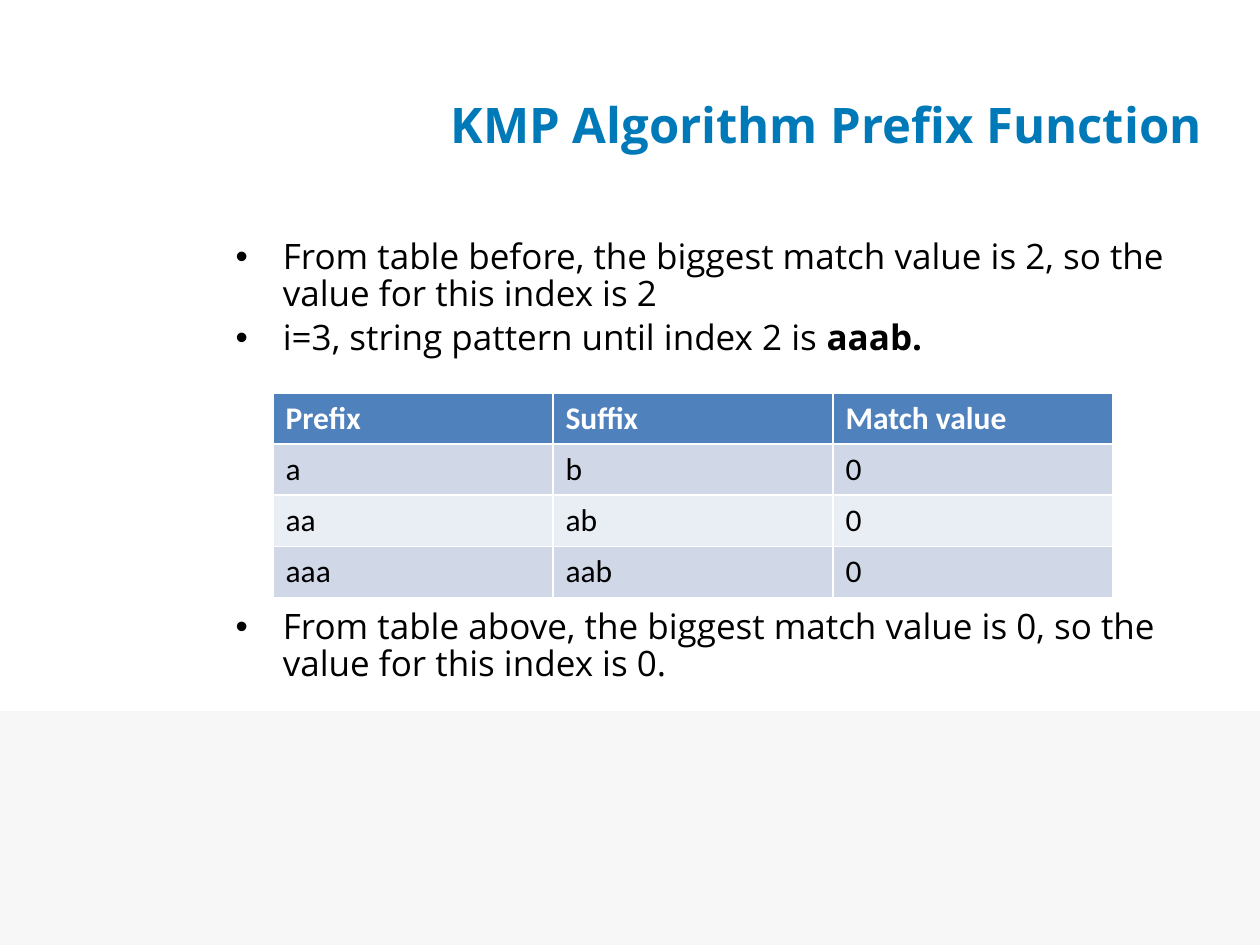
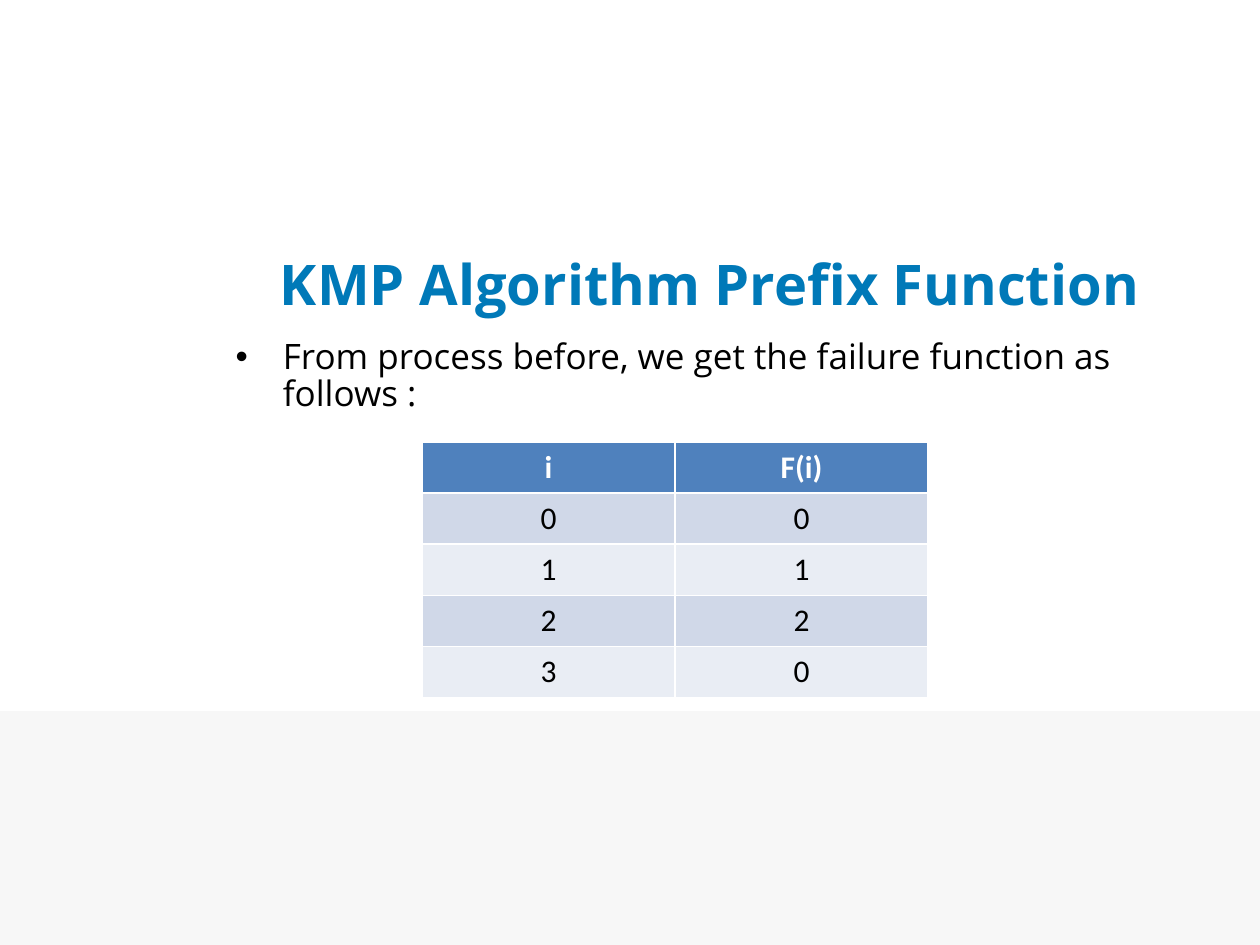
import pptx
import pptx.dml.color
import pptx.enum.shapes
import pptx.enum.text
import pptx.util

SCALE = 914400 / 126  # EMU per px
ALIGN = pptx.enum.text.PP_ALIGN
WHITE, BLACK, BLUE = "FFFFFF", "000000", "0079B8"
HEADER_FILL, BAND_FILLS = "4F81BD", ("D0D8E8", "E9EDF4")
HEADING = "KMP Algorithm Prefix Function"


def px(n):
    return pptx.util.Emu(round(n * SCALE))


def rgb(value):
    return pptx.dml.color.RGBColor.from_string(value)


def paint(fill, color):
    fill.solid()
    fill.fore_color.rgb = rgb(color)


class Deck:
    title_font = dict(name="Open Sans", bold=True)
    body_font = dict(name="Open Sans", size=pptx.util.Pt(20))
    cell_font = dict(name="Calibri", size=pptx.util.Pt(18))
    row_height = 51

    def __init__(self):
        self.prs = pptx.Presentation()
        self.prs.slide_width, self.prs.slide_height = px(1260), px(945)
        self.s = None

    def add_slide(self):
        self.s = self.prs.slides.add_slide(self.prs.slide_layouts[1])

    def add_master_band(self, x, y, w, h, color):
        """Draw a band, then move it to the back of the slide master."""
        sp = self.s.shapes.add_shape(
            pptx.enum.shapes.MSO_SHAPE.RECTANGLE, px(x), px(y), px(w), px(h))
        sp.shadow.inherit = False
        paint(sp.fill, color)
        sp.line.fill.background()
        self.prs.slide_master.shapes.element.insert(2, sp.element)

    def place(self, sp, *box):
        for side, n in zip(("left", "top", "width", "height"), box):
            setattr(sp, side, px(n))
        sp.text_frame.auto_size = pptx.enum.text.MSO_AUTO_SIZE.NONE
        return sp.text_frame

    def run(self, p, text, color, **font):
        r = p.add_run()
        r.text = text
        r.font.color.rgb = rgb(color)
        for key, value in font.items():
            setattr(r.font, key, value)

    def title(self, text, size, *box):
        p = self.place(self.s.shapes.title, *box).paragraphs[0]
        p.alignment = ALIGN.CENTER
        self.run(p, text, BLUE, size=pptx.util.Pt(size), **self.title_font)

    def bullets(self, items, *box):
        """Each item is (space before in points, text, optional bold ending)."""
        tf = self.place(self.s.placeholders[1], *box)
        for i, (space, *parts) in enumerate(items):
            p = tf.add_paragraph() if i else tf.paragraphs[0]
            p.space_before = pptx.util.Pt(space)
            p.line_spacing = 0.88
            for text, bold in zip(parts, (False, True)):
                self.run(p, text, BLACK, bold=bold, **self.body_font)

    def table(self, rows, x, y, col_width, align=ALIGN.LEFT):
        n_rows, n_cols = len(rows), len(rows[0])
        table = self.s.shapes.add_table(
            n_rows, n_cols, px(x), px(y),
            px(n_cols * col_width), px(n_rows * self.row_height)).table
        for i, row in enumerate(rows):
            header = i == 0
            fill = HEADER_FILL if header else BAND_FILLS[(i - 1) % 2]
            for j, text in enumerate(row):
                cell = table.cell(i, j)
                paint(cell.fill, fill)
                p = cell.text_frame.paragraphs[0]
                p.alignment = align
                self.run(p, text, WHITE if header else BLACK,
                         bold=header, **self.cell_font)


def main():
    deck = Deck()

    deck.add_slide()
    deck.add_master_band(0, 711, 1260, 234, "F7F7F7")
    deck.title(HEADING, 28, 392, 45, 868, 158)
    deck.bullets([
        (0, "From table before, the biggest match value is 2, "
            "so the value for this index is 2"),
        (4, "i=3, string pattern until index 2 is ", "aaab."),
        (144, "From table above, the biggest match value is 0, "
              "so the value for this index is 0."),
    ], 223, 234, 974, 610)
    deck.table([("Prefix", "Suffix", "Match value"),
                ("a", "b", "0"),
                ("aa", "ab", "0"),
                ("aaa", "aab", "0")], 273, 393, 280)

    deck.add_slide()
    deck.title(HEADING, 32, 223, 204, 974, 158)
    deck.bullets([
        (0, "From process before, we get the failure function as follows :"),
    ], 223, 334, 974, 510)
    deck.table([("i", "F(i)"), ("0", "0"), ("1", "1"), ("2", "2"), ("3", "0")],
               422, 442, 253, ALIGN.CENTER)

    deck.prs.save("out.pptx")


if __name__ == "__main__":
    main()
